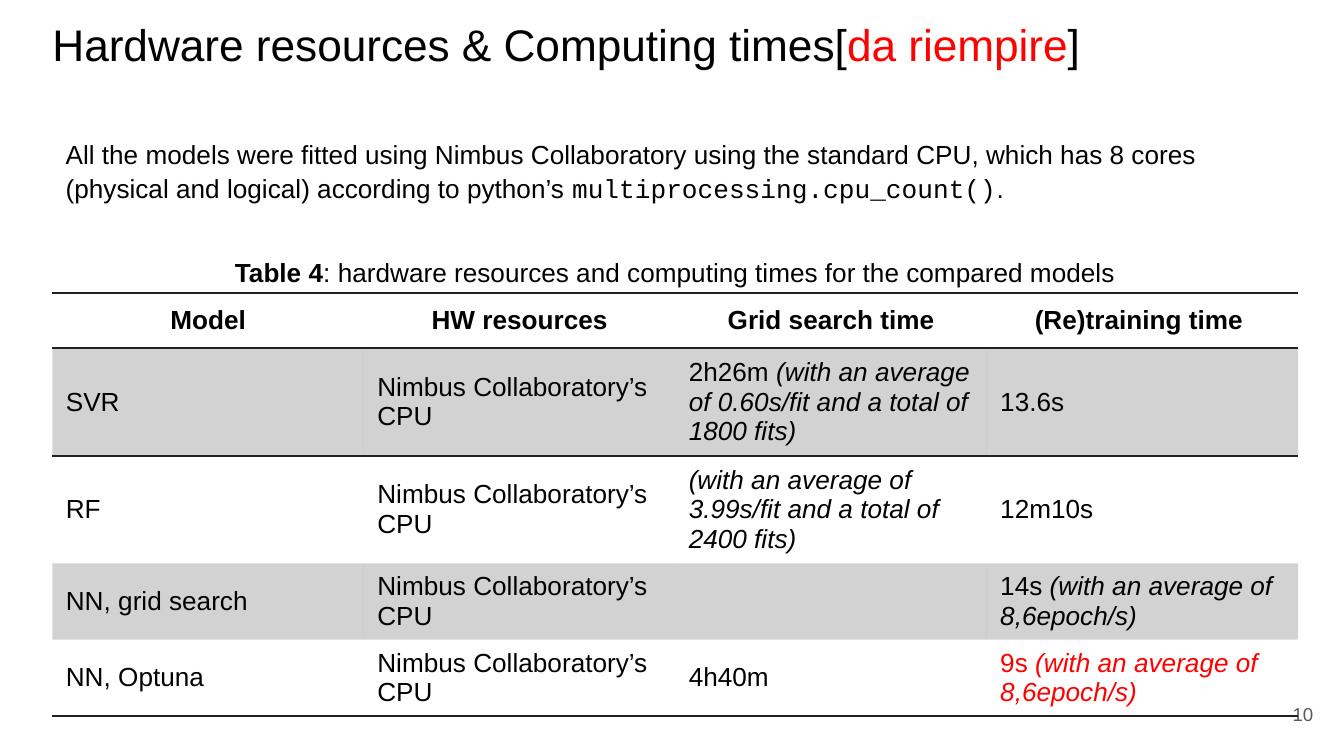
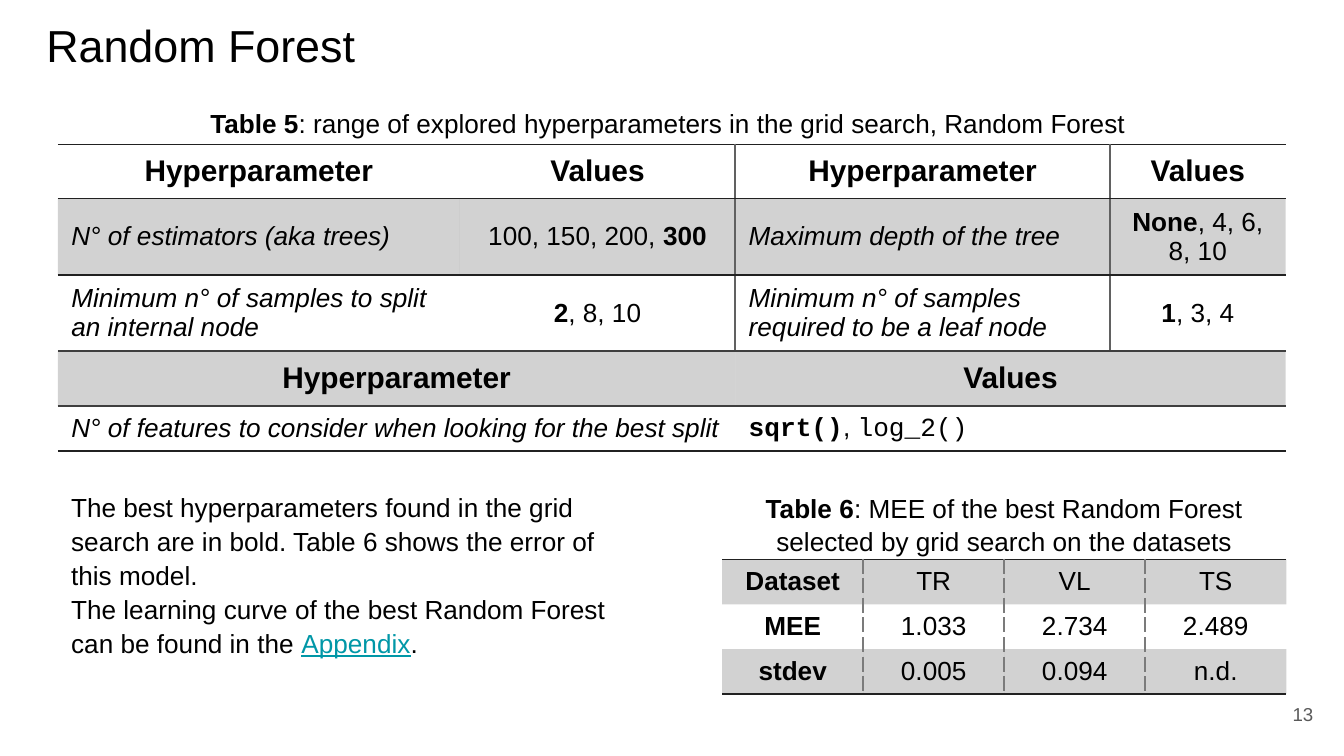
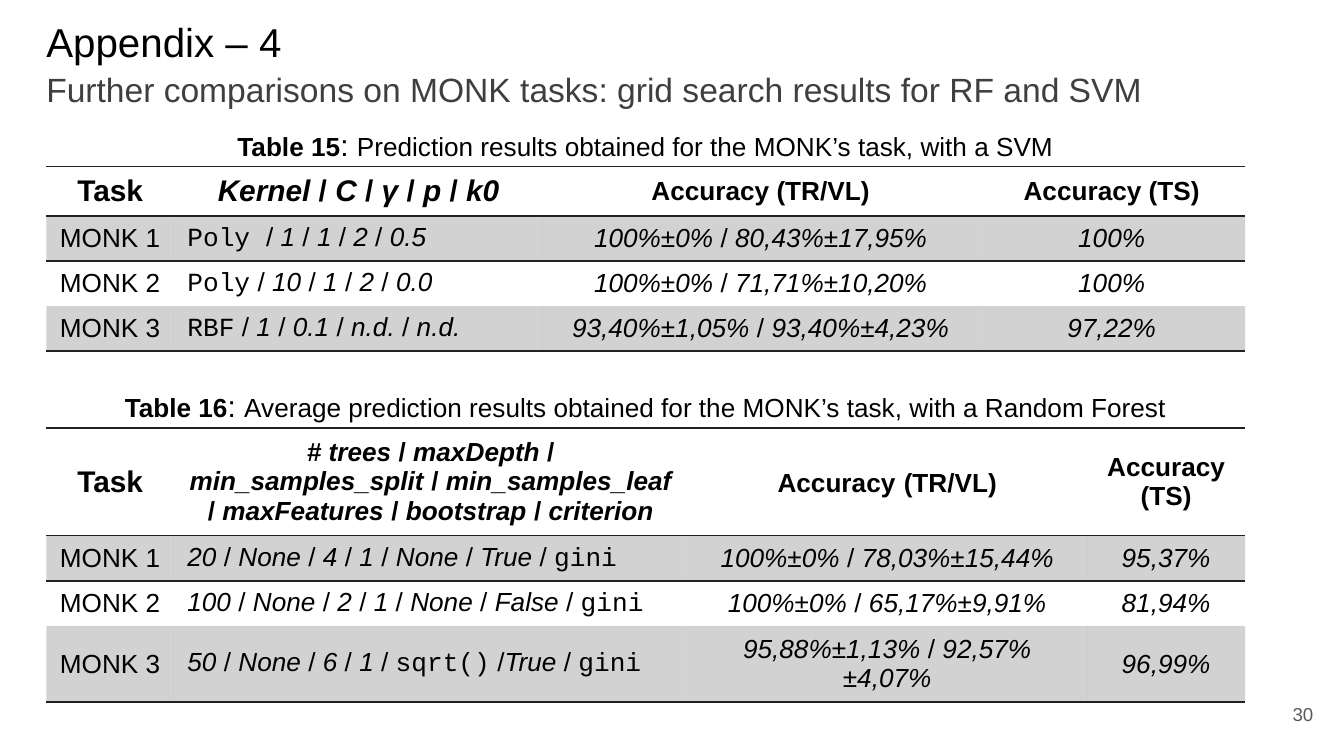
"""Build three slides of model comparison tables."""
from lxml import etree
from pptx import Presentation
from pptx import util as u
from pptx.dml import color
from pptx.enum import text as t
from pptx.oxml import ns

INK, RULE, BLACK, RED = "212121", "3F3F3F", "000000", "FF0000"
SANS, MONO = "Arial", "Courier New"
LEFT, CENTER, RIGHT = t.PP_ALIGN.LEFT, t.PP_ALIGN.CENTER, t.PP_ALIGN.RIGHT
NO_STYLE = "{2D5ABB26-0587-4C30-8999-92F81FD0307C}"
LEADING = 1.08
MARKS = {
    "*": {"bold": True},
    "~": {"italic": True},
    "`": {"font": MONO},
    "$": {"size": 16},
    "^": {"hue": RED},
    "@": {"hue": "0097A7", "underline": True},
    "|": {"size": 18, "hue": RULE},
}
CPU = "Nimbus Collaboratory’s CPU"

SLIDES = [
    {
        "title": "Hardware resources & Computing times[^da riempire^]",
        "title_box": (28.1, 0, 671, 45.4), "title_size": 23.7, "number": "10",
        "body": "All the models were fitted using Nimbus Collaboratory using the standard CPU, "
                "which has 8 cores (physical and logical) according to python’s "
                "`multiprocessing.cpu_count()`.",
        "body_box": (28.1, 69.1, 667.4, 41),
        "tables": [{
            "caption": "*Table 4*: hardware resources and computing times for the compared models",
            "caption_height": 24.5, "left": 28.1, "top": 157,
            "widths": [166.85] * 4, "heights": [29.5, 57.5, 57.5, 40.8, 40.8], "aligns": "llll",
            "rows": [
                ("Model", "HW resources", "Grid search time", "(Re)training time "),
                ("SVR", CPU, "2h26m ~(with an average of 0.60s/fit and a total of 1800 fits)~", "13.6s"),
                ("RF", CPU, "~(with an average of 3.99s/fit and a total of 2400 fits)~", "12m10s"),
                ("NN, grid search", CPU, "", "14s ~(with an average of 8,6epoch/s)~"),
                ("NN, Optuna", CPU, "4h40m", "^9s ~(with an average of 8,6epoch/s)~^"),
            ],
        }],
    },
    {
        "title": "Random Forest",
        "title_box": (24.8, 0, 695.2, 45.4), "title_size": 24, "number": "13",
        "body": "The best hyperparameters found in the grid search are in bold. "
                "Table 6 shows the error of this model.\n"
                "The learning curve of the best Random Forest can be found in the @Appendix@.",
        "body_box": (31, 258.5, 312, 92.2),
        "tables": [
            {
                "caption": "*Table 5*: range of explored hyperparameters in the grid search, Random Forest ",
                "caption_height": 24.5, "left": 31, "top": 77.4,
                "widths": [215.3, 147.6, 200.7, 94.2], "heights": [29, 38.6, 38.6, 29.5, 24],
                "aligns": "lclc", "headings": (0, 3),
                "lines": {0: INK, 1: INK, 3: RULE, 4: RULE, 5: INK},
                "columns": (2, 3), "column_rows": 3, "column_line": ("616161", "solid"),
                "rows": [
                    ("$Hyperparameter$", "$Values$", "$Hyperparameter$", "$Values$"),
                    ("~N° of estimators (aka trees)~", "100, 150, 200, *300*",
                     "~Maximum depth of the tree~", "*None*, 4, 6, 8, 10"),
                    ("~Minimum n° of samples to split an internal node~", "*2*, 8, 10",
                     "~Minimum n° of samples required to be a leaf node~", "*1*, 3, 4"),
                    ("$Hyperparameter$", None, "$Values$", None),
                    ("~N° of features to consider when looking for the best split~", None,
                     "*`sqrt()`*, `log_2()`", None),
                ],
            },
            {
                "caption": "*Table 6*: MEE of the best Random Forest selected by grid search on the datasets",
                "caption_height": 41, "left": 386.9, "top": 299.7,
                "widths": [75.55] * 4, "heights": [24] * 3, "aligns": "cccc",
                "headings": (), "first_band": 0, "lines": {0: INK, 3: INK},
                "columns": (1, 2), "column_rows": 3, "column_line": ("7B7B7B", "dash"),
                "rows": [
                    ("*Dataset*", "TR", "VL", "TS"),
                    ("*MEE*", "1.033", "2.734", "2.489"),
                    ("*stdev*", "0.005", "0.094", "n.d."),
                ],
            },
        ],
    },
    {
        "title": "Appendix – 4\v|Further comparisons on MONK tasks: grid search results for RF and SVM|",
        "title_box": (24.8, 0, 671, 62.6), "title_size": 21.6, "number": "30",
        "tables": [
            {
                "caption": "*Table 15*$: $Prediction results obtained for the MONK’s task, with a SVM",
                "caption_height": 26.6, "left": 24.8, "top": 89.2,
                "widths": [68.4, 197.7, 233.2, 143], "heights": [25.4, 24.2, 24.2, 24.2],
                "aligns": "clcc",
                "rows": [
                    ("$Task$", "$~Kernel~ / ~C ~/ ~γ ~/ ~p~ / ~k0~$", "Accuracy (TR/VL)", "Accuracy (TS)"),
                    ("MONK 1", "`Poly `/ ~1~ / ~1 ~/ ~2~ / ~0.5~", "~100%±0% ~/~ 80,43%±17,95%~", "~100%~"),
                    ("MONK 2", "`Poly` / ~10~ / ~1 ~/ ~2 ~/ ~0.0~", "~100%±0% ~/ ~71,71%±10,20%~", "~100%~"),
                    ("MONK 3", "`RBF` / ~1~ / ~0.1~ / ~n.d.~ / ~n.d.~",
                     "~93,40%±1,05% ~/~ 93,40%±4,23%~", "~97,22%~"),
                ],
            },
            {
                "caption": "*Table 16*$: $Average prediction results obtained for the MONK’s task, "
                           "with a Random Forest",
                "caption_height": 26.6, "left": 24.8, "top": 229.3,
                "widths": [68.4, 275, 214.2, 84.7], "heights": [57.3, 24.2, 24.2, 40.8],
                "aligns": "clcc",
                "rows": [
                    ("$Task$", "~# trees ~/ ~maxDepth ~/ ~min_samples_split ~/ ~min_samples_leaf ~/ "
                     "~maxFeatures ~/~ bootstrap ~/ ~criterion~", "Accuracy$ $(TR/VL)", "Accuracy (TS)"),
                    ("MONK 1", "~20 ~/~ None ~/~ 4 ~/~ 1 ~/~ None ~/~ True ~/ `gini`",
                     "~100%±0% ~/~ 78,03%±15,44%~", "~95,37%~"),
                    ("MONK 2", "~100~ / ~None~ / ~2~ / ~1~ / ~None~ / ~False~ / `gini`",
                     "~100%±0% ~/~ 65,17%±9,91%~", "~81,94%~"),
                    ("MONK 3", "~50~ / ~None~ / ~6~ / ~1~ / `sqrt()` /~True~ / `gini`",
                     "~95,88%±1,13% ~/~ 92,57%±4,07%~", "~96,99%~"),
                ],
            },
        ],
    },
]


def rgb(value):
    """Turn a hex string into a colour."""
    return color.RGBColor.from_string(value)


def add_run(paragraph, words, font, size, hue, bold=False, italic=False, underline=False):
    """Append one formatted run."""
    run = paragraph.add_run()
    run.text = words
    face = run.font
    face.name, face.size, face.bold, face.italic = font, u.Pt(size), bold, italic
    face.underline = underline
    face.color.rgb = rgb(hue)


def write(frame, content, align=LEFT, leading=LEADING, **base):
    """Fill a text frame with marked-up paragraphs."""
    base = {"font": SANS, "size": 14, "hue": BLACK} | base
    for index, line in enumerate(content.split("\n")):
        paragraph = frame.add_paragraph() if index else frame.paragraphs[0]
        paragraph.alignment, paragraph.line_spacing = align, leading
        active, words = [], ""
        for letter in line + "\0":
            if letter not in MARKS and letter not in "\v\0":
                words += letter
                continue
            if words:
                style = dict(base)
                for mark in active:
                    style |= MARKS[mark]
                add_run(paragraph, words, **style)
                words = ""
            if letter == "\v":
                paragraph.add_line_break()
            elif letter in active:
                active.remove(letter)
            elif letter in MARKS:
                active.append(letter)


def add_text(slide, content, box, anchor=t.MSO_ANCHOR.TOP, margin=None, **style):
    """Add a wrapped text box."""
    frame = slide.shapes.add_textbox(*map(u.Pt, box)).text_frame
    frame.word_wrap, frame.vertical_anchor = True, anchor
    if margin is not None:
        frame.margin_left = frame.margin_right = u.Pt(margin)
        frame.margin_top = frame.margin_bottom = u.Pt(margin)
    write(frame, content, **style)


def add_title(slide, content, box, size):
    """Place and format the title placeholder."""
    title = slide.shapes.title
    title.left, title.top, title.width, title.height = map(u.Pt, box)
    frame = title.text_frame
    frame.word_wrap, frame.auto_size = True, t.MSO_AUTO_SIZE.NONE
    frame.vertical_anchor = t.MSO_ANCHOR.TOP
    frame.margin_left = frame.margin_right = 0
    frame.margin_top = frame.margin_bottom = u.Pt(7.2)
    write(frame, content, size=size)


def add_border(cell, side, hue, dash="solid"):
    """Draw one side of a cell."""
    line = etree.SubElement(cell._tc.get_or_add_tcPr(), ns.qn(f"a:ln{side}"), w=str(u.Pt(1)))
    fill = etree.SubElement(line, ns.qn("a:solidFill"))
    etree.SubElement(fill, ns.qn("a:srgbClr"), val=hue)
    etree.SubElement(line, ns.qn("a:prstDash"), val=dash)


def shade(cell):
    """Give a cell the translucent band colour."""
    cell.fill.solid()
    cell.fill.fore_color.rgb = rgb(INK)
    tint = next(cell._tc.tcPr.iter(ns.qn("a:srgbClr"), ns.qn("a:solidFill")))
    tint = [e for e in cell._tc.tcPr.find(ns.qn("a:solidFill"))][0]
    etree.SubElement(tint, ns.qn("a:alpha"), val="20000")


def add_grid(slide, spec):
    """Add a caption and the ruled, banded table below it."""
    rows, widths, heights = spec["rows"], spec["widths"], spec["heights"]
    left, top, above = spec["left"], spec["top"], spec["caption_height"]
    headings = spec.get("headings", (0,))
    lines = spec.get("lines", {0: INK, 1: INK, len(rows): INK})
    grid = slide.shapes.add_table(len(rows), len(widths), *map(u.Pt, (left, top, sum(widths), sum(heights)))).table
    grid._tbl.tblPr.find(ns.qn("a:tableStyleId")).text = NO_STYLE
    for column, width in zip(grid.columns, widths):
        column.width = u.Pt(width)
    for r, row in enumerate(rows):
        grid.rows[r].height = u.Pt(heights[r])
        uprights = spec.get("columns", ()) if r < spec.get("column_rows", 0) else ()
        for c, content in enumerate(row):
            cell = grid.cell(r, c)
            for side, edge in (("L", c), ("R", c + 1)):
                if edge in uprights:
                    add_border(cell, side, *spec["column_line"])
            for side, edge in (("T", r), ("B", r + 1)):
                if edge in lines:
                    add_border(cell, side, lines[edge])
            if r % 2 == spec.get("first_band", 1):
                shade(cell)
            else:
                cell.fill.background()
            if content is None:
                grid.cell(r, c - 1).merge(cell)
                continue
            cell.vertical_anchor = t.MSO_ANCHOR.MIDDLE
            heading = r in headings
            align = CENTER if heading or spec["aligns"][c] == "c" else LEFT
            write(cell.text_frame, content, align=align, leading=1.0, bold=heading)
    add_text(slide, spec["caption"], (left, top - above, sum(widths), above), align=CENTER)


def main():
    """Build and save the deck."""
    deck = Presentation()
    deck.slide_width, deck.slide_height = u.Pt(720), u.Pt(405)
    for page in SLIDES:
        slide = deck.slides.add_slide(deck.slide_layouts[5])
        add_title(slide, page["title"], page["title_box"], page["title_size"])
        add_text(slide, page["number"], (667.4, 367.2, 43.2, 31), anchor=t.MSO_ANCHOR.MIDDLE,
                 margin=7.2, align=RIGHT, leading=1.0, size=10, hue="595959")
        if "body" in page:
            add_text(slide, page["body"], page["body_box"])
        for spec in page["tables"]:
            add_grid(slide, spec)
    deck.save("out.pptx")


if __name__ == "__main__":
    main()
